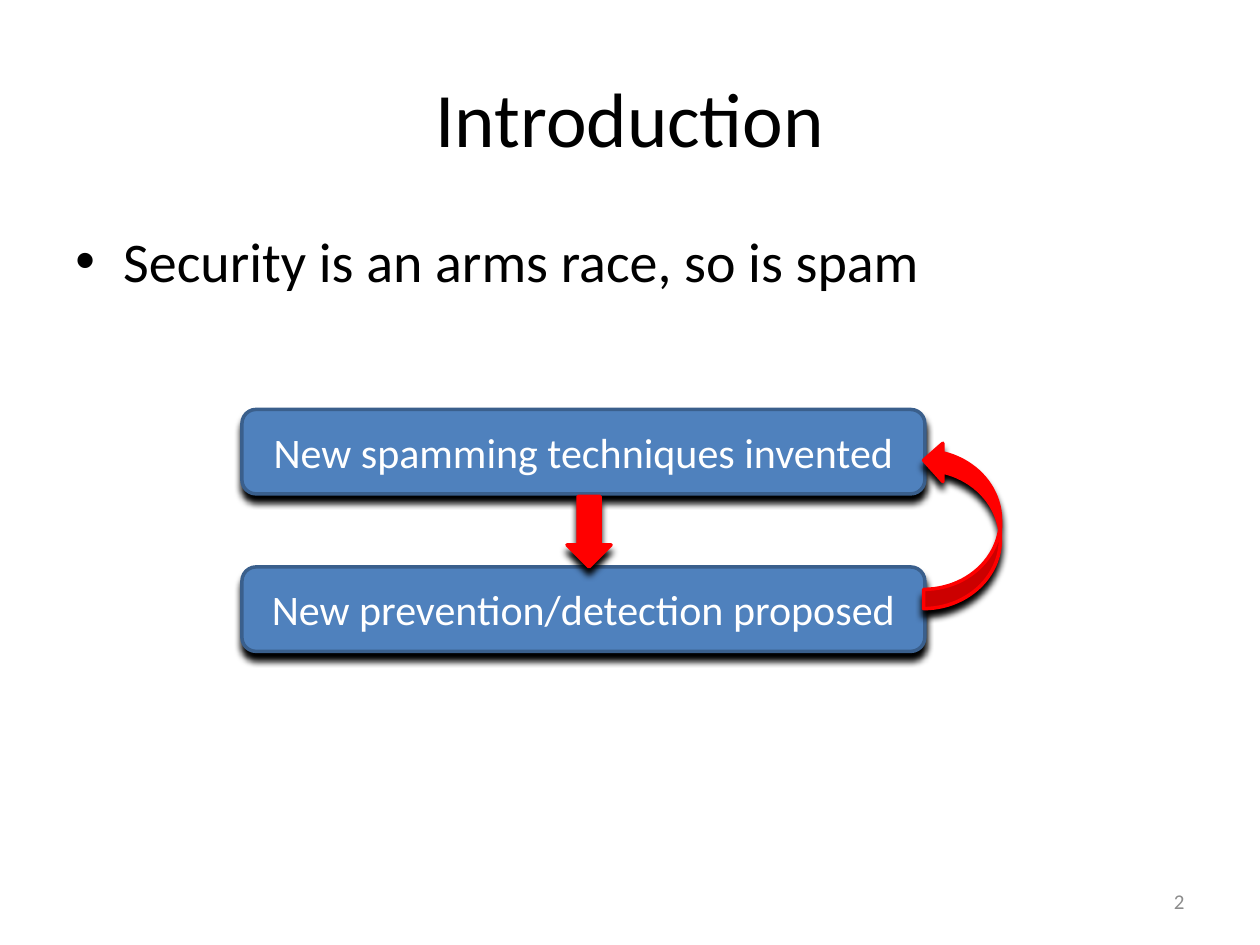
from typing import NamedTuple

from lxml import etree
from pptx import Presentation
from pptx import util as u
from pptx.dml import color
from pptx.enum import shapes, text
from pptx.oxml import ns

FONT = "Calibri"
BLACK, WHITE, GRAY = "000000", "FFFFFF", "8C8C8C"
BLUE, NAVY, RED = "4F81BD", "3A5F8C", "FF0000"
STEP_LEFT, STEP_WIDTH, STEP_HEIGHT = 1.92, 5.42, 0.67
FIRST_STEP_TOP, STEP_PITCH = 3.25, 1.25


class Box(NamedTuple):
    left: float
    top: float
    width: float
    height: float


class Step(NamedTuple):
    label: str
    outline: shapes.MSO_SHAPE


class Arrow(NamedTuple):
    preset: shapes.MSO_SHAPE
    box: Box
    rotation: float = 0


STEPS = (
    Step("New spamming techniques invented", shapes.MSO_SHAPE.ROUNDED_RECTANGLE),
    Step("New prevention/detection proposed",
         shapes.MSO_SHAPE.FLOWCHART_ALTERNATE_PROCESS),
)
ARROWS = (
    Arrow(shapes.MSO_SHAPE.DOWN_ARROW, Box(4.5, 3.94, 0.35, 0.56)),
    Arrow(shapes.MSO_SHAPE.CURVED_RIGHT_ARROW, Box(7.33, 3.5, 0.61, 1.33), 180),
)


def inches(box: Box) -> list:
    return [u.Inches(length) for length in box]


def rgb(value: str) -> color.RGBColor:
    return color.RGBColor.from_string(value)


def write(target, content: str, *, size: float, ink: str = BLACK,
          align=text.PP_ALIGN.LEFT, anchor=text.MSO_ANCHOR.MIDDLE,
          bullet: str = "", indent: float = 0) -> None:
    frame = target.text_frame
    frame.word_wrap = True
    frame.vertical_anchor = anchor
    paragraph = frame.paragraphs[0]
    paragraph.text = content
    paragraph.alignment = align
    paragraph.space_before = u.Pt(0)
    if bullet:
        properties = paragraph._p.get_or_add_pPr()
        properties.set("marL", str(u.Inches(indent)))
        properties.set("indent", str(-u.Inches(indent)))
        etree.SubElement(properties, ns.qn("a:buFont"), typeface="Arial")
        etree.SubElement(properties, ns.qn("a:buChar"), char=bullet)
    font = paragraph.runs[0].font
    font.name = FONT
    font.size = u.Pt(size)
    font.color.rgb = rgb(ink)


def cast_shadow(shape) -> None:
    shape.shadow.inherit = False
    effects = shape._element.spPr.find(ns.qn("a:effectLst"))
    shadow = etree.SubElement(
        effects, ns.qn("a:outerShdw"), blurRad=str(u.Pt(4)), dist=str(u.Pt(4)),
        dir=str(90 * 60000), algn="ctr", rotWithShape="0")
    etree.SubElement(shadow, ns.qn("a:srgbClr"), val=BLACK)


def draw_shape(slide, preset, box: Box, fill: str, line: str):
    shape = slide.shapes.add_shape(preset, *inches(box))
    shape.fill.solid()
    shape.fill.fore_color.rgb = rgb(fill)
    shape.line.color.rgb = rgb(line)
    shape.line.width = u.Pt(2)
    cast_shadow(shape)
    return shape


def draw_step(slide, step: Step, index: int) -> None:
    box = Box(STEP_LEFT, FIRST_STEP_TOP + index * STEP_PITCH,
              STEP_WIDTH, STEP_HEIGHT)
    shape = draw_shape(slide, step.outline, box, BLUE, NAVY)
    write(shape, step.label, size=24, ink=WHITE, align=text.PP_ALIGN.CENTER)


def draw_arrow(slide, arrow: Arrow) -> None:
    shape = draw_shape(slide, arrow.preset, arrow.box, RED, RED)
    shape.rotation = arrow.rotation


def main() -> None:
    deck = Presentation()
    deck.slide_width, deck.slide_height = u.Inches(10), u.Inches(7.5)
    slide = deck.slides.add_slide(deck.slide_layouts[5])

    title = slide.shapes.title
    title.left, title.top, title.width, title.height = inches(Box(0.5, 0.3, 9, 1.25))
    write(title, "Introduction", size=44, align=text.PP_ALIGN.CENTER)

    claim = slide.shapes.add_textbox(*inches(Box(0.5, 1.75, 9, 4.95)))
    write(claim, "Security is an arms race, so is spam", size=32,
          anchor=text.MSO_ANCHOR.TOP, bullet="•", indent=0.38)

    for index, step in enumerate(STEPS):
        draw_step(slide, step, index)
    for arrow in ARROWS:
        draw_arrow(slide, arrow)

    page_number = slide.shapes.add_textbox(*inches(Box(7.17, 6.95, 2.33, 0.4)))
    write(page_number, "2", size=12, ink=GRAY, align=text.PP_ALIGN.RIGHT)

    deck.save("out.pptx")


if __name__ == "__main__":
    main()
